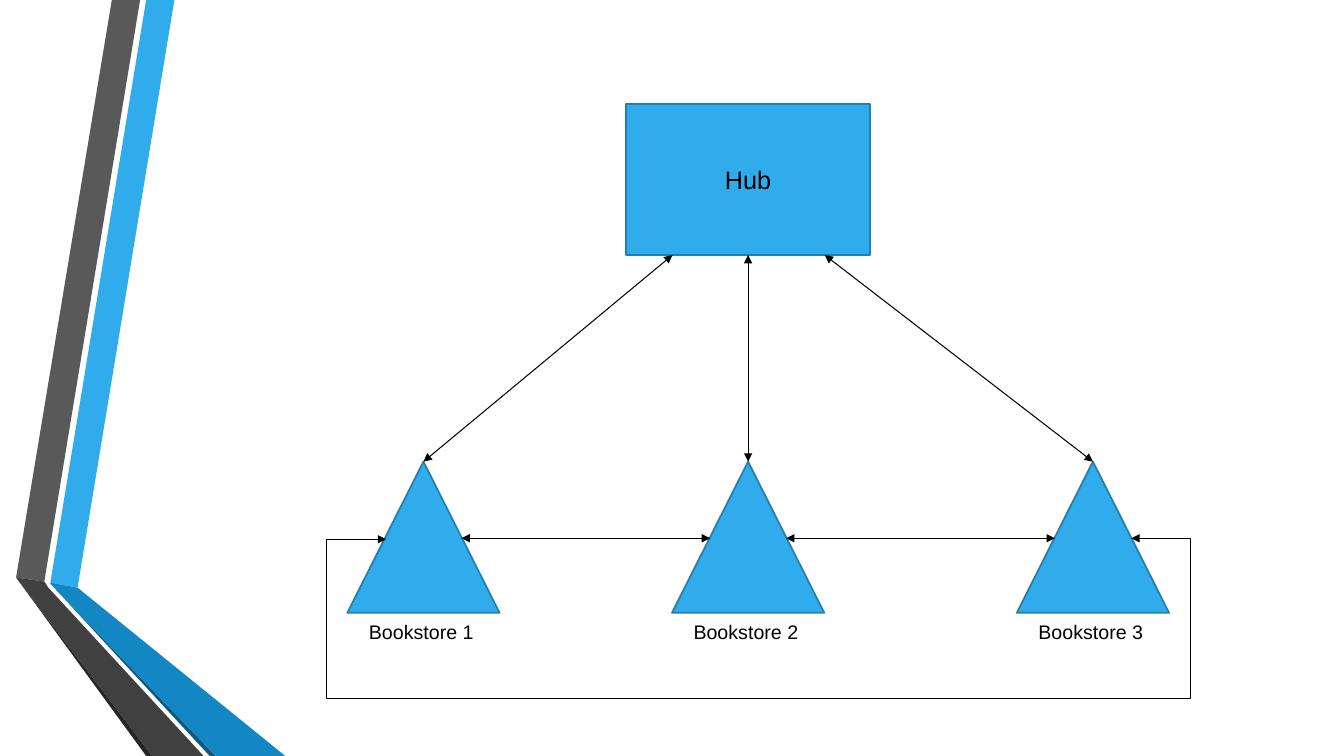
import pptx
import pptx.util
import pptx.dml.color
import pptx.enum.shapes
import pptx.enum.text
import pptx.oxml.ns
import pptx.oxml.xmlchemy

Inches = pptx.util.Inches
Pt = pptx.util.Pt
SHAPES = pptx.enum.shapes.MSO_SHAPE
STRAIGHT = pptx.enum.shapes.MSO_CONNECTOR.STRAIGHT


def paint(format_part, color):
    format_part.solid()
    format_part.fore_color.rgb = pptx.dml.color.RGBColor.from_string(color)


def make_arrow(arrow):
    """Thin black line with a triangle head at both ends and no shadow."""
    paint(arrow.line.fill, "000000")
    arrow.line.width = Pt(0.75)
    properties = arrow._element.spPr
    outline = properties.find(pptx.oxml.ns.qn("a:ln"))
    for end in ("a:headEnd", "a:tailEnd"):
        head = pptx.oxml.xmlchemy.OxmlElement(end)
        head.set("type", "triangle")
        outline.append(head)
    properties.append(pptx.oxml.xmlchemy.OxmlElement("a:effectLst"))


presentation = pptx.Presentation()
presentation.slide_width = Inches(13.33)
presentation.slide_height = Inches(7.5)
slide = presentation.slides.add_slide(presentation.slide_layouts[6])
shapes = slide.shapes

# Folded ribbons on the left edge
ribbons = [
    ("30ACEC", [(0.5, 5.78), (0.77, 5.83), (1.73, 0), (1.45, 0)]),
    ("595959", [(1.39, 0), (1.11, 0), (0.16, 5.73), (0.44, 5.77)]),
    ("262626", [(0.16, 5.73), (1.45, 7.5), (1.51, 7.5)]),
    ("0C5A82", [(0.5, 5.79), (2.08, 7.5), (2.14, 7.5)]),
    ("1287C3", [(0.5, 5.79), (2.14, 7.5), (2.83, 7.5), (0.77, 5.83), (0.5, 5.78)]),
    ("404040", [(2.02, 7.5), (0.48, 5.83), (0.44, 5.77), (0.16, 5.73), (1.51, 7.5)]),
]
for color, corners in ribbons:
    points = [(Inches(x), Inches(y)) for x, y in corners]
    builder = shapes.build_freeform(*points[0])
    builder.add_line_segments(points[1:], close=True)
    ribbon = builder.convert_to_shape()
    ribbon.shadow.inherit = False
    paint(ribbon.fill, color)
    ribbon.line.fill.background()

# Hub and bookstores
store_centers = [4.2, 7.42, 10.84]
store_top, store_width, store_height = 4.58, 1.51, 1.5
hub = shapes.add_shape(SHAPES.RECTANGLE, Inches(6.21), Inches(1.03), Inches(2.42), Inches(1.5))
stores = [
    shapes.add_shape(SHAPES.ISOSCELES_TRIANGLE, Inches(center - store_width / 2),
                     Inches(store_top), Inches(store_width), Inches(store_height))
    for center in store_centers
]
for node in [hub, *stores]:
    node.shadow.inherit = False
    paint(node.fill, "30ACEC")
    paint(node.line.fill, "247FAF")
    node.line.width = Pt(1.25)

# Labels
hub.text_frame.vertical_anchor = pptx.enum.text.MSO_ANCHOR.MIDDLE
labels = [(hub, "Hub", {"size": Pt(18), "name": "Arial"})]
for number, center in enumerate(store_centers, start=1):
    caption = shapes.add_textbox(Inches(center - 0.64), Inches(6.1), Inches(1.28), Inches(0.34))
    caption.text_frame.word_wrap = False
    caption.text_frame.auto_size = pptx.enum.text.MSO_AUTO_SIZE.SHAPE_TO_FIT_TEXT
    labels.append((caption, f"Bookstore {number}", {"size": Pt(14), "name": "Arial"}))
for holder, wording, font_format in labels:
    paragraph = holder.text_frame.paragraphs[0]
    run = paragraph.add_run()
    run.text = wording
    for attribute, value in font_format.items():
        setattr(run.font, attribute, value)
    paint(run.font.fill, "000000")
hub.text_frame.paragraphs[0].alignment = pptx.enum.text.PP_ALIGN.CENTER

# Arrows from the hub to each bookstore
for hub_exit, center, store in zip([6.67, 7.42, 8.18], store_centers, stores):
    hub_arrow = shapes.add_connector(STRAIGHT, Inches(hub_exit), Inches(2.53),
                                     Inches(center), Inches(store_top))
    if store is stores[1]:
        hub_arrow.begin_connect(hub, 2)
    hub_arrow.end_connect(store, 0)
    make_arrow(hub_arrow)

# Arrows between neighbouring bookstores, meeting their sloping sides
side_offset = store_width / 4
for left, right in zip(store_centers, store_centers[1:]):
    neighbour_arrow = shapes.add_connector(STRAIGHT, Inches(left + side_offset), Inches(5.34),
                                           Inches(right - side_offset), Inches(5.34))
    make_arrow(neighbour_arrow)

# Arrow around the bottom from the first bookstore to the last
route = [(3.83, 5.35), (3.24, 5.35), (3.24, 6.93), (11.81, 6.93), (11.81, 5.34), (11.22, 5.34)]
points = [(Inches(x), Inches(y)) for x, y in route]
builder = shapes.build_freeform(*points[0])
builder.add_line_segments(points[1:], close=False)
outer_arrow = builder.convert_to_shape()
outer_arrow.fill.background()
make_arrow(outer_arrow)

presentation.save("out.pptx")
